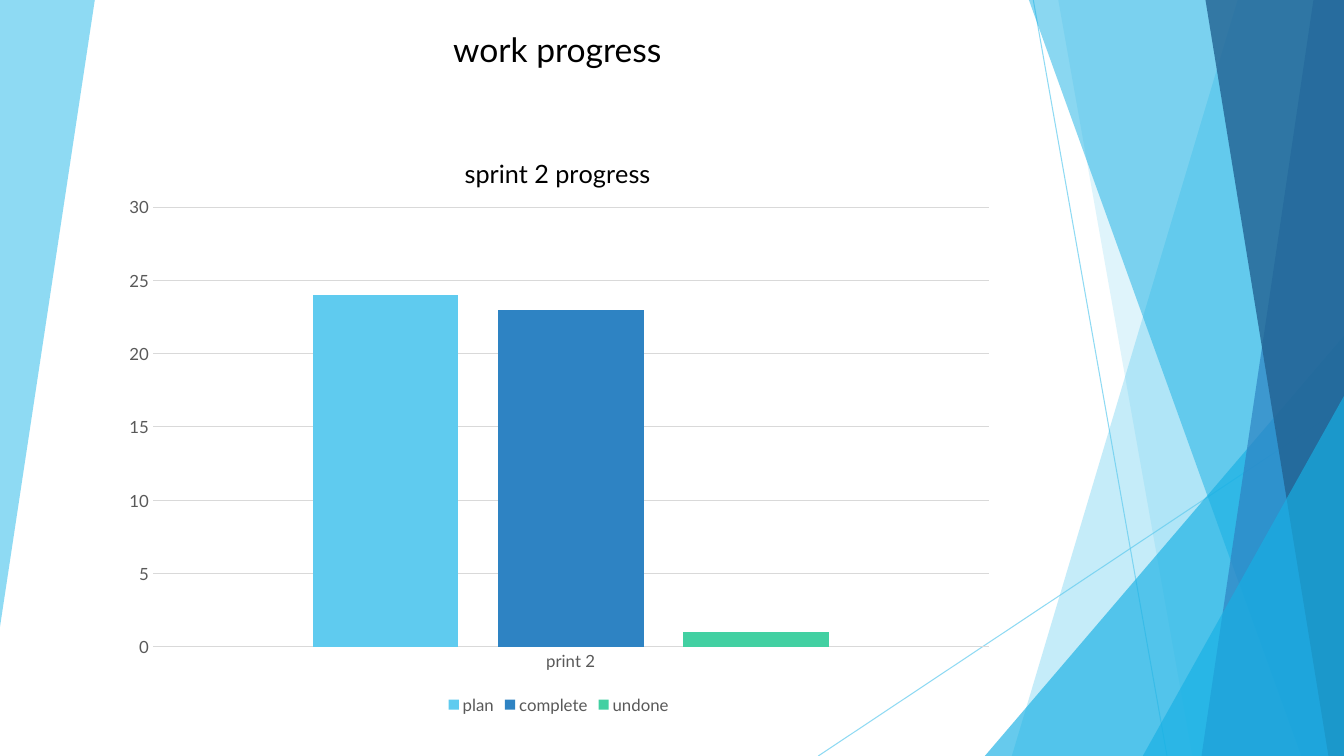
from lxml.etree import Element, SubElement
from pptx import Presentation
from pptx.chart.data import CategoryChartData
from pptx.dml.color import RGBColor
from pptx.enum.chart import XL_CHART_TYPE as ChartType
from pptx.enum.chart import XL_LEGEND_POSITION as LegendPosition
from pptx.enum.chart import XL_TICK_MARK as TickMark
from pptx.enum.shapes import MSO_CONNECTOR as Connector
from pptx.enum.shapes import MSO_SHAPE as Shape
from pptx.enum.text import MSO_AUTO_SIZE as AutoSize
from pptx.enum.text import PP_ALIGN as Align
from pptx.oxml.ns import qn
from pptx.util import Cm, Pt

WIDTH, HEIGHT = 33.87, 19.05
FONT = "Lato"
SKY, CYAN, BLUE, NAVY = "5FCBEF", "17B0E4", "2E83C3", "226292"
GREEN, BLACK, GREY, PALE = "42D0A2", "000000", "595959", "D9D9D9"


def paint(color_format, color):
    color_format.rgb = RGBColor.from_string(color)


def set_font(font, size, color):
    font.name = FONT
    font.size = Pt(size)
    font.bold = False
    paint(font.color, color)


def set_opacity(shape, percent):
    for color in shape.element.iter(qn("a:srgbClr")):
        SubElement(color, qn("a:alpha"), val=str(percent * 1000))


def fill_facet(shape, color, opacity):
    shape.shadow.inherit = False
    shape.fill.solid()
    paint(shape.fill.fore_color, color)
    shape.line.fill.background()
    set_opacity(shape, opacity)


def add_polygon(page, points, color, opacity):
    corners = [(Cm(x), Cm(y)) for x, y in points]
    builder = page.shapes.build_freeform(*corners[0])
    builder.add_line_segments(corners[1:], close=True)
    fill_facet(builder.convert_to_shape(), color, opacity)


def add_panel(page, top_x, bottom_x, color, opacity):
    points = [(top_x, 0), (WIDTH, 0), (WIDTH, HEIGHT), (bottom_x, HEIGHT)]
    add_polygon(page, points, color, opacity)


def add_corner(page, left, top):
    triangle = page.shapes.add_shape(
        Shape.ISOSCELES_TRIANGLE, Cm(left), Cm(top), Cm(WIDTH - left), Cm(HEIGHT - top))
    triangle.adjustments[0] = 1
    fill_facet(triangle, CYAN, 66)


def add_ray(page, *ends):
    ray = page.shapes.add_connector(Connector.STRAIGHT, *map(Cm, ends))
    ray.line.width = Pt(0.75)
    paint(ray.line.color, SKY)
    set_opacity(ray, 70)
    SubElement(ray.element.spPr, qn("a:effectLst"))


def add_facets(page):
    add_polygon(page, [(0, 0), (2.39, 0), (0, 15.8)], SKY, 70)
    add_ray(page, 26.04, 0, 29.41, HEIGHT)
    add_ray(page, WIDTH, 10.24, 20.62, HEIGHT)
    add_panel(page, 31.19, 25.5, SKY, 36)
    add_panel(page, 26.67, 30.05, SKY, 20)
    add_corner(page, 24.82, 8.46)
    add_panel(page, 25.93, 32.79, CYAN, 50)
    add_panel(page, 33.1, 30.28, BLUE, 70)
    add_panel(page, 30.38, 33.48, NAVY, 80)
    add_corner(page, 28.8, 9.98)


def set_layout(parent, index, **values):
    for old in parent.findall(qn("c:layout")):
        parent.remove(old)
    layout = Element(qn("c:layout"))
    manual = SubElement(layout, qn("c:manualLayout"))
    for name, value in values.items():
        SubElement(manual, qn(f"c:{name}"), val=str(value))
    parent.insert(index, layout)


def style_axis(axis):
    axis.major_tick_mark = TickMark.NONE
    axis.minor_tick_mark = TickMark.NONE
    set_font(axis.tick_labels.font, 12, GREY)


def style_line(line):
    line.width = Pt(0.75)
    paint(line.color, PALE)


def add_progress_chart(page):
    colors = {"plan": SKY, "complete": BLUE, "undone": GREEN}
    data = CategoryChartData()
    data.categories = ["print 2"]
    for name, value in zip(colors, (24, 23, 1)):
        data.add_series(name, [value])
    chart = page.shapes.add_chart(
        ChartType.COLUMN_CLUSTERED, Cm(2.79), Cm(3.05), Cm(22.58), Cm(15.06), data).chart
    set_font(chart.font, 10, BLACK)

    title = chart.chart_title
    title.text_frame.text = "sprint 2 progress"
    set_font(title.text_frame.paragraphs[0].runs[0].font, 18, BLACK)
    set_layout(title.element, 1, xMode="edge", yMode="edge", x=0.39, y=0.05)
    set_layout(chart.element.find(f".//{qn('c:plotArea')}"), 0,
               layoutTarget="inner", xMode="edge", yMode="edge",
               x=0.047, y=0.144, w=0.933, h=0.736)

    chart.has_legend = True
    chart.legend.position = LegendPosition.BOTTOM
    chart.legend.include_in_layout = False
    set_font(chart.legend.font, 12, GREY)

    style_axis(chart.category_axis)
    style_line(chart.category_axis.format.line)
    values = chart.value_axis
    style_axis(values)
    values.minimum_scale, values.maximum_scale, values.major_unit = 0, 30, 5
    values.format.line.fill.background()
    style_line(values.major_gridlines.format.line)

    plot = chart.plots[0]
    plot.vary_by_categories = False
    plot.gap_width, plot.overlap = 219, -27
    for series in plot.series:
        series.format.fill.solid()
        paint(series.format.fill.fore_color, colors[series.name])


def add_heading(page, text):
    box = page.shapes.add_textbox(Cm(8.43), Cm(0.61), Cm(11.23), Cm(1.27))
    box.text_frame.word_wrap = True
    box.text_frame.auto_size = AutoSize.SHAPE_TO_FIT_TEXT
    box.text_frame.text = text
    para = box.text_frame.paragraphs[0]
    para.alignment = Align.CENTER
    set_font(para.runs[0].font, 24, BLACK)


def main():
    deck = Presentation()
    deck.slide_width, deck.slide_height = Cm(WIDTH), Cm(HEIGHT)
    page = deck.slides.add_slide(deck.slide_layouts[6])
    add_facets(page)
    add_progress_chart(page)
    add_heading(page, "work progress")
    deck.save("out.pptx")


if __name__ == "__main__":
    main()
